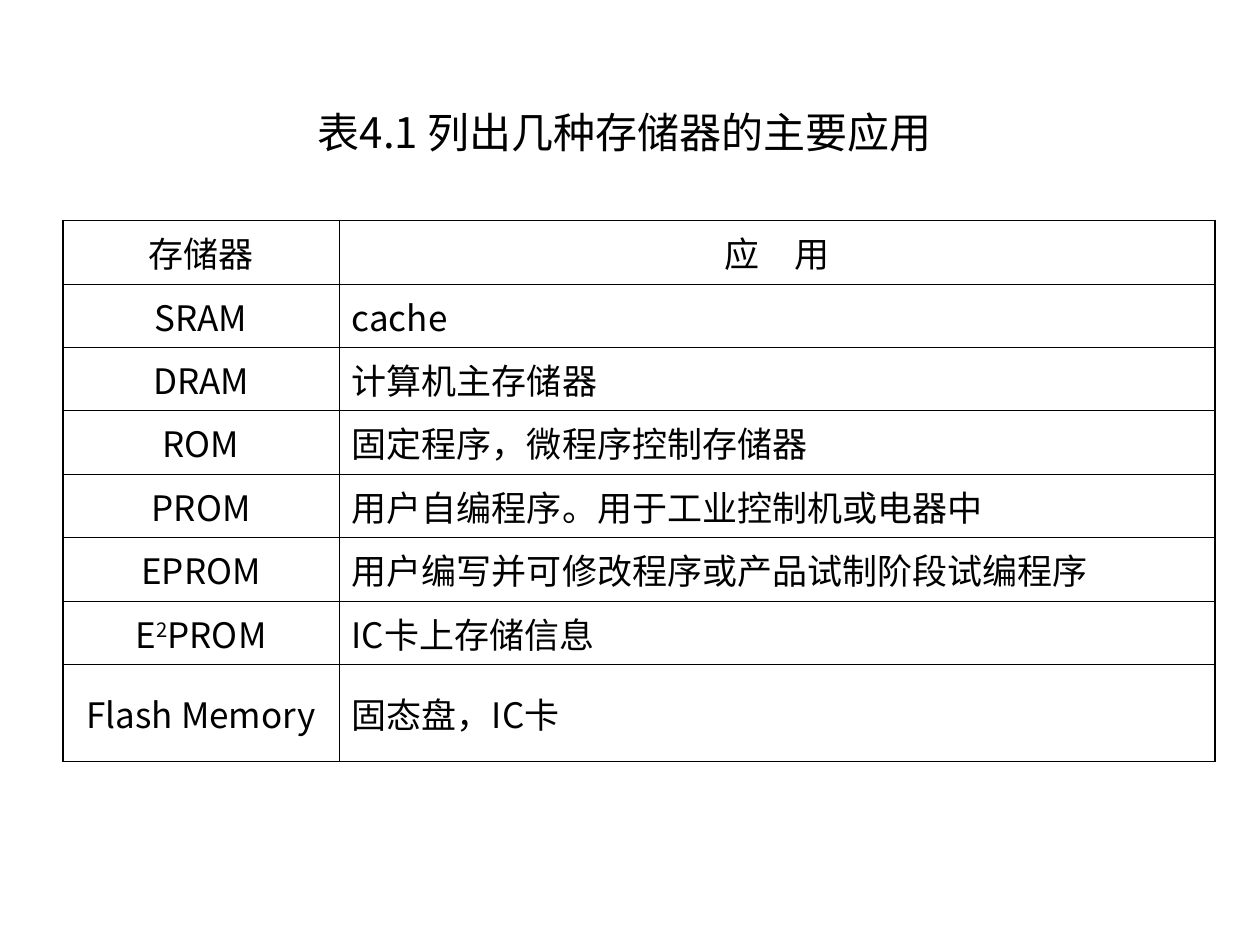
from lxml.etree import SubElement
from pptx import Presentation
from pptx.dml.color import RGBColor
from pptx.enum.text import MSO_ANCHOR, MSO_AUTO_SIZE, PP_ALIGN
from pptx.oxml.ns import qn
from pptx.util import Pt

FACE = "Noto Sans CJK SC"
INK = "000000"
HEAD = ["存储器", "应　用"]
ROWS = [
    ("SRAM", "cache"),
    ("DRAM", "计算机主存储器"),
    ("ROM", "固定程序，微程序控制存储器"),
    ("PROM", "用户自编程序。用于工业控制机或电器中"),
    ("EPROM", "用户编写并可修改程序或产品试制阶段试编程序"),
    (["E", "2", "PROM"], "IC卡上存储信息"),
    ("Flash Memory", "固态盘，IC卡"),
]


def color(code):
    return RGBColor.from_string(code)


def add_run(para, text, size, base=0):
    run = para.add_run()
    run.text = text
    run.font.size = Pt(size)
    run.font.name = FACE
    run.font.color.rgb = color(INK)
    props = run.font._element
    SubElement(props, qn("a:ea"), typeface=FACE)
    if base:
        props.set("baseline", str(base * 1000))


def add_edge(cell, side, width):
    line = SubElement(cell._tc.get_or_add_tcPr(), qn("a:ln" + side),
                      w=str(int(Pt(width))))
    fill = SubElement(line, qn("a:solidFill"))
    SubElement(fill, qn("a:srgbClr"), val=INK)


def add_title(slide, left, top, width, height):
    title = slide.shapes.title
    title.left, title.top = Pt(left), Pt(top)
    title.width, title.height = Pt(width), Pt(height)
    frame = title.text_frame
    frame.word_wrap = True
    frame.auto_size = MSO_AUTO_SIZE.NONE
    frame.vertical_anchor = MSO_ANCHOR.MIDDLE
    para = frame.paragraphs[0]
    para.alignment = PP_ALIGN.CENTER
    add_run(para, "表4.1 列出几种存储器的主要应用 ", 24)
    para.add_line_break()
    mark = SubElement(para._p, qn("a:endParaRPr"), sz="2400")
    for tag in ("a:latin", "a:ea"):
        SubElement(mark, qn(tag), typeface=FACE)


def add_grid(slide, left, top, width, height):
    data = [HEAD, *ROWS]
    last = len(data) - 1
    table = slide.shapes.add_table(len(data), 2, Pt(left), Pt(top),
                                   Pt(width), Pt(height)).table
    table.first_row = table.horz_banding = False
    first = 157.8
    table.columns[0].width = Pt(first)
    table.columns[1].width = Pt(width - first)
    tall = 55.4
    for i, texts in enumerate(data):
        table.rows[i].height = Pt(tall if i == last else (height - tall) / last)
        for j, text in enumerate(texts):
            cell = table.cell(i, j)
            outer = {"L": j == 0, "R": j == 1, "T": i == 0, "B": i == last}
            for side, thick in outer.items():
                add_edge(cell, side, 1.08 if thick else 0.45)
            cell.fill.background()
            cell.vertical_anchor = MSO_ANCHOR.MIDDLE
            para = cell.text_frame.paragraphs[0]
            center = i == 0 or j == 0
            para.alignment = PP_ALIGN.CENTER if center else PP_ALIGN.LEFT
            parts = [text] if isinstance(text, str) else text
            for k, part in enumerate(parts):
                add_run(para, part, 20, base=30 if k == 1 else 0)


def main():
    deck = Presentation()
    deck.slide_width, deck.slide_height = Pt(720), Pt(540)
    slide = deck.slides.add_slide(deck.slide_layouts[5])
    add_title(slide, 54, 64, 611.5, 51)
    add_grid(slide, 36, 126, 658.5, 277)
    deck.save("out.pptx")


if __name__ == "__main__":
    main()
